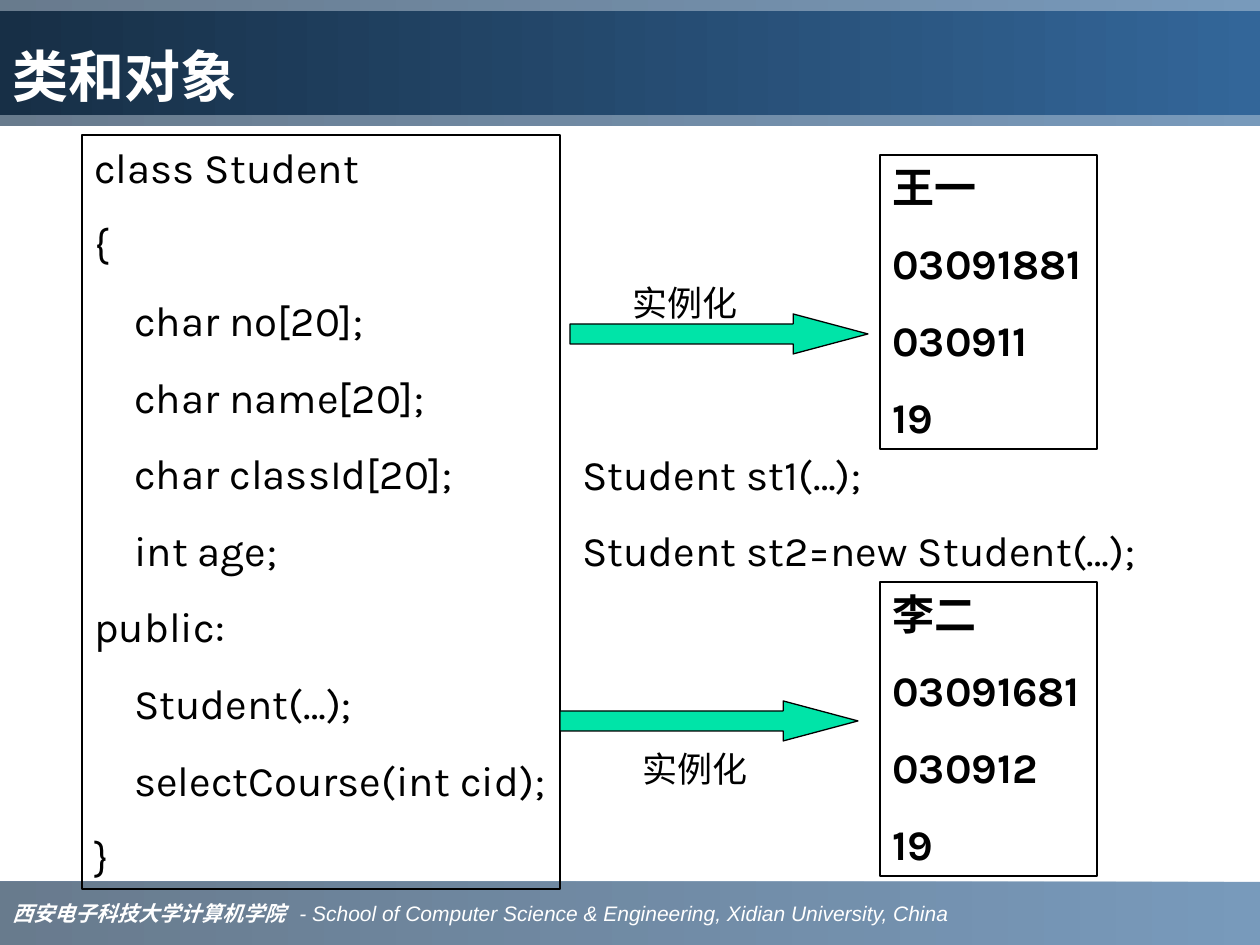
from dataclasses import dataclass
from typing import Optional

from lxml import etree
from pptx import Presentation
from pptx import util as u
from pptx.dml.color import RGBColor
from pptx.enum import shapes, text
from pptx.oxml.ns import qn

PX = 914400 / 126
FONT = "Karla"
COLORS = {
    "white": "FFFFFF",
    "black": "000000",
    "blue": "336699",
    "navy": "1B3753",
    "dark navy": "172F46",
    "green": "00E4A8",
}


@dataclass
class Box:
    left: int
    top: int
    width: int
    height: int

    def emu(self) -> list[int]:
        return [round(v * PX) for v in (self.left, self.top, self.width, self.height)]


@dataclass
class TextBlock:
    box: Box
    lines: list[str]
    size: int = 24
    space: float = 15
    bold: Optional[bool] = None
    framed: bool = False


CLASS_CODE = [
    "class Student", "{",
    "    char no[20];", "    char name[20];", "    char classId[20];", "    int age;",
    "public:",
    "    Student(…);", "    selectCourse(int cid);", "}",
]
BLOCKS = [
    TextBlock(Box(82, 135, 478, 754), CLASS_CODE, framed=True),
    TextBlock(Box(880, 155, 217, 294), ["王一", "03091881", "030911", "19"],
              bold=True, framed=True),
    TextBlock(Box(880, 582, 217, 294), ["李二", "03091681", "030912", "19"],
              bold=True, framed=True),
    TextBlock(Box(620, 275, 130, 55), ["实例化"], size=20),
    TextBlock(Box(630, 741, 130, 55), ["实例化"], size=20),
    TextBlock(Box(570, 442, 592, 140), ["Student st1(…);", "Student st2=new Student(…);"]),
]
ARROWS = [Box(570, 314, 298, 40), Box(560, 701, 298, 40)]


def rgb(name: str) -> RGBColor:
    return RGBColor.from_string(COLORS[name])


def style_font(font, size: int, color: str, name: str = FONT) -> None:
    font.name, font.size, font.color.rgb = name, u.Pt(size), rgb(color)


def outline(sp) -> None:
    sp.line.color.rgb = rgb("black")
    sp.line.width = u.Pt(0.75)


def fill_gradient(sp, right: str, left: str, opacity: int = 100) -> None:
    sp.fill.gradient()
    sp.fill.gradient_angle = 180
    for stop, color, position in zip(sp.fill.gradient_stops, (right, left), (0, 1)):
        stop.position = position
        stop.color.rgb = rgb(color)
    if opacity < 100:
        for clr in sp._element.spPr.iter(qn("a:srgbClr")):
            etree.SubElement(clr, qn("a:alpha"), val=str(opacity * 1000))


def add_band(s, box: Box):
    sp = s.shapes.add_shape(shapes.MSO_SHAPE.RECTANGLE, *box.emu())
    sp.shadow.inherit = False
    sp.line.fill.background()
    fill_gradient(sp, "blue", "navy", 66)
    return sp


def add_footer_text(sp) -> None:
    tf = sp.text_frame
    tf.vertical_anchor = text.MSO_ANCHOR.MIDDLE
    p = tf.paragraphs[0]
    p.alignment = text.PP_ALIGN.LEFT
    tabs = etree.SubElement(p._p.get_or_add_pPr(), qn("a:tabLst"))
    etree.SubElement(tabs, qn("a:tab"), pos=str(round(287 * PX)), algn="l")
    school = "- School of Computer Science & Engineering, Xidian University, China"
    for words, name, bold in (("西安电子科技大学计算机学院\t", "Times New Roman", True),
                              (school, "Arial", False)):
        r = p.add_run()
        r.text = words
        style_font(r.font, 12, "white", name)
        r.font.bold, r.font.italic = bold, True


def format_title(title, box: Box) -> None:
    title.left, title.top, title.width, title.height = box.emu()
    fill_gradient(title, "blue", "dark navy")
    tf = title.text_frame
    tf.text = "类和对象"
    tf.auto_size = text.MSO_AUTO_SIZE.NONE
    tf.vertical_anchor = text.MSO_ANCHOR.BOTTOM
    p = tf.paragraphs[0]
    p.alignment = text.PP_ALIGN.LEFT
    r = p.runs[0]
    style_font(r.font, 32, "white")
    r.font.bold = True


def add_text(s, block: TextBlock) -> None:
    sp = s.shapes.add_textbox(*block.box.emu())
    if block.framed:
        outline(sp)
    tf = sp.text_frame
    tf.text = "\n".join(block.lines)
    tf.word_wrap = False
    tf.auto_size = text.MSO_AUTO_SIZE.SHAPE_TO_FIT_TEXT
    for i, p in enumerate(tf.paragraphs):
        p.space_before = u.Pt(block.space if i else 0)
        for r in p.runs:
            style_font(r.font, block.size, "black")
            r.font.bold = block.bold


def add_arrow(s, box: Box) -> None:
    sp = s.shapes.add_shape(shapes.MSO_SHAPE.RIGHT_ARROW, *box.emu())
    sp.shadow.inherit = False
    sp.adjustments[0], sp.adjustments[1] = 0.5, 1.87
    sp.fill.solid()
    sp.fill.fore_color.rgb = rgb("green")
    outline(sp)


def main() -> None:
    prs = Presentation()
    prs.slide_width, prs.slide_height = u.Inches(10), u.Inches(7.5)
    s = prs.slides.add_slide(prs.slide_layouts[5])
    title = s.shapes.title

    footer = add_band(s, Box(0, 882, 1260, 63))
    add_footer_text(footer)
    header = add_band(s, Box(0, 0, 1260, 126))
    for band in (footer, header):
        title._element.addprevious(band._element)
    format_title(title, Box(0, 11, 1260, 104))

    for block in BLOCKS:
        add_text(s, block)
    for box in ARROWS:
        add_arrow(s, box)
    prs.save("out.pptx")


if __name__ == "__main__":
    main()
